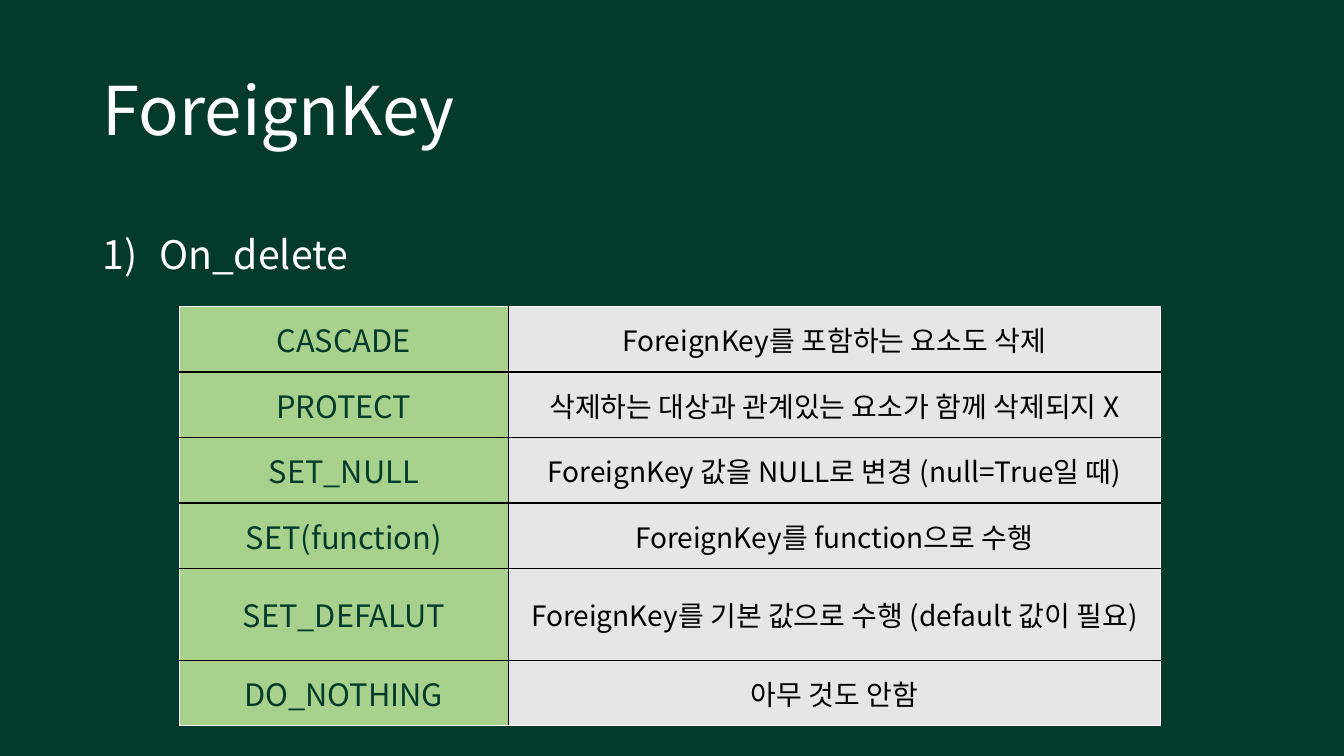
from lxml import etree
from pptx import Presentation
from pptx.dml.color import RGBColor
from pptx.enum.text import MSO_ANCHOR, PP_ALIGN
from pptx.oxml.ns import qn
from pptx.util import Inches, Pt

MIDDLE = MSO_ANCHOR.MIDDLE
CENTER = PP_ALIGN.CENTER

DARK_GREEN = RGBColor(0x04, 0x3A, 0x2A)
LIGHT_GREEN = RGBColor(0xA9, 0xD1, 0x8E)
GREY = RGBColor(0xE7, 0xE6, 0xE6)
WHITE = RGBColor(0xFF, 0xFF, 0xFF)
BLACK = RGBColor(0x00, 0x00, 0x00)
FONT = "Noto Sans CJK KR"

ONE_LINE, TWO_LINES = 0.65, 0.91
OPTIONS = [
    ("CASCADE", "ForeignKey를 포함하는 요소도 삭제", ONE_LINE),
    ("PROTECT", "삭제하는 대상과 관계있는 요소가 함께 삭제되지 X", ONE_LINE),
    ("SET_NULL", "ForeignKey 값을 NULL로 변경 (null=True일 때)", ONE_LINE),
    ("SET(function)", "ForeignKey를 function으로 수행", ONE_LINE),
    ("SET_DEFALUT", "ForeignKey를 기본 값으로 수행 (default 값이 필요)", TWO_LINES),
    ("DO_NOTHING", "아무 것도 안함", ONE_LINE),
]
COLUMN_WIDTHS = (3.26, 6.47)
COLUMN_STYLES = ((22, DARK_GREEN, LIGHT_GREEN), (20, BLACK, GREY))


def style_font(p, size, color):
    """Set the paragraph font for Latin and Korean text alike."""
    p.font.name = FONT
    p.font.size = Pt(size)
    p.font.color.rgb = color
    defaults = p.font._element
    etree.SubElement(defaults, qn("a:ea")).set("typeface", FONT)


def add_text(slide, left, top, width, height):
    tf = slide.shapes.add_textbox(
        Inches(left), Inches(top), Inches(width), Inches(height)).text_frame
    tf.word_wrap = True
    return tf


def add_title(slide, left, top, width, height):
    tf = add_text(slide, left, top, width, height)
    tf.vertical_anchor = MIDDLE
    p = tf.paragraphs[0]
    p.text = "ForeignKey"
    p.line_spacing = 0.9
    style_font(p, 48, WHITE)


def add_numbered_heading(slide, left, top, width, height):
    p = add_text(slide, left, top, width, height).paragraphs[0]
    p.text = "On_delete"
    p.line_spacing = 1.5
    p.space_before = Pt(10)
    props = p._p.get_or_add_pPr()
    props.set("marL", str(Inches(0.56)))
    props.set("indent", str(Inches(-0.56)))
    etree.SubElement(props, qn("a:buAutoNum")).set("type", "arabicParenR")
    style_font(p, 28, WHITE)


def add_borders(cell, sides):
    """Draw a 1 pt black line on the given sides, in the order L, R, T, B."""
    props = cell._tc.get_or_add_tcPr()
    for i, side in enumerate(sides):
        line = etree.Element(qn(f"a:ln{side}"), w=str(Pt(1)))
        fill = etree.SubElement(line, qn("a:solidFill"))
        etree.SubElement(fill, qn("a:srgbClr")).set("val", str(BLACK))
        props.insert(i, line)


def add_option_table(slide, left, top, width, height):
    table = slide.shapes.add_table(
        len(OPTIONS), len(COLUMN_WIDTHS),
        Inches(left), Inches(top), Inches(width), Inches(height)).table
    table.first_row = False
    table.horz_banding = False
    for column, column_width in zip(table.columns, COLUMN_WIDTHS):
        column.width = Inches(column_width)
    last_row = len(OPTIONS) - 1
    for i, (row, (name, effect, row_height)) in enumerate(zip(table.rows, OPTIONS)):
        row.height = Inches(row_height)
        inner_sides = ("T" if i > 0 else "") + ("B" if i < last_row else "")
        for cell, text, style, divider in zip(
                row.cells, (name, effect), COLUMN_STYLES, "RL"):
            size, color, fill = style
            cell.fill.solid()
            cell.fill.fore_color.rgb = fill
            cell.vertical_anchor = MIDDLE
            p = cell.text_frame.paragraphs[0]
            p.text = text
            p.alignment = CENTER
            style_font(p, size, color)
            add_borders(cell, divider + inner_sides)


def main():
    prs = Presentation()
    prs.slide_width = Inches(13.33)
    prs.slide_height = Inches(7.5)
    slide = prs.slides.add_slide(prs.slide_layouts[6])
    slide.background.fill.solid()
    slide.background.fill.fore_color.rgb = DARK_GREEN
    add_title(slide, 0.92, 0.4, 11.5, 1.45)
    add_numbered_heading(slide, 0.92, 2, 11.5, 5.1)
    table_height = sum(row_height for *_, row_height in OPTIONS)
    add_option_table(slide, 1.78, 3.04, sum(COLUMN_WIDTHS), table_height)
    prs.save("out.pptx")


if __name__ == "__main__":
    main()
